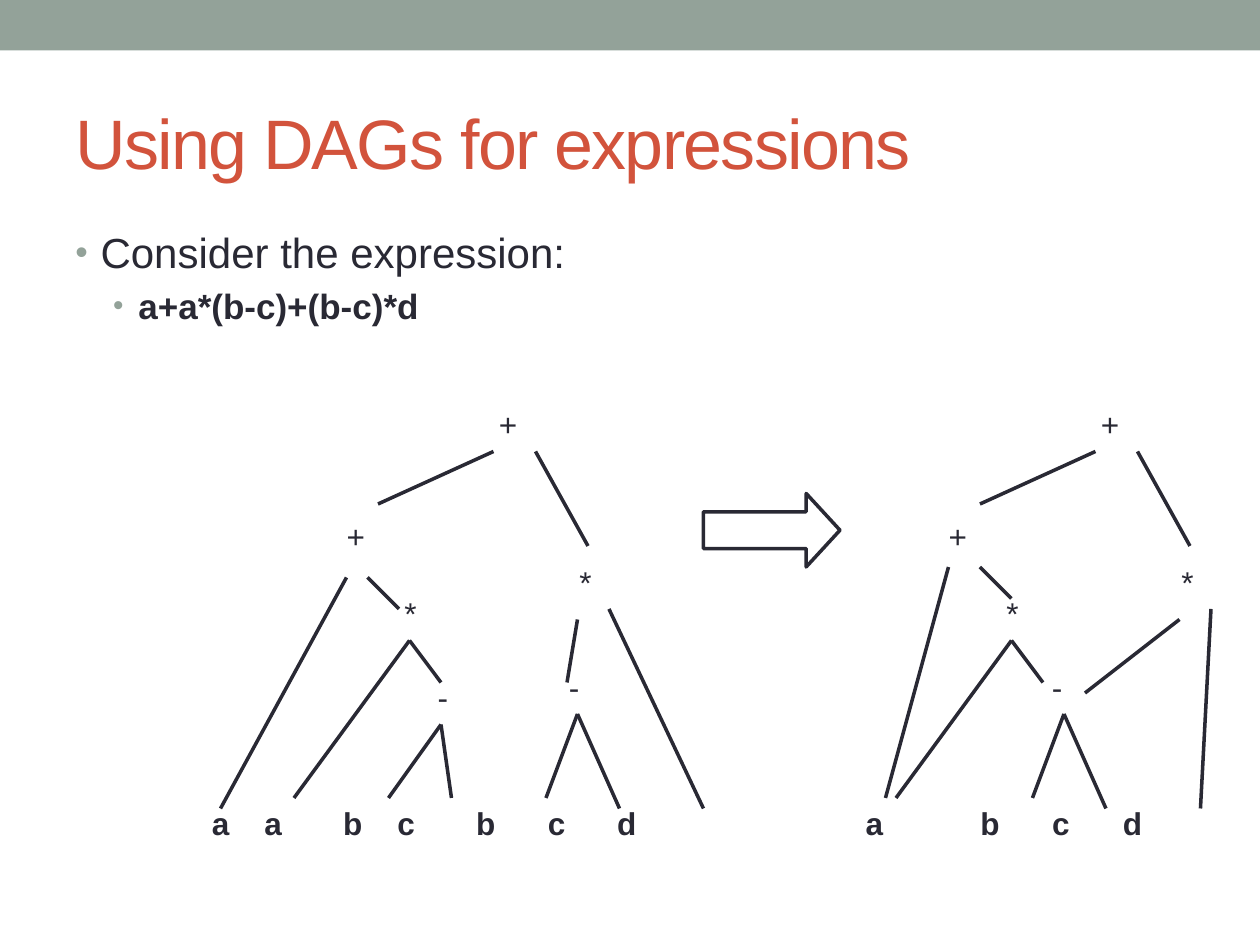
from pptx import Presentation
from pptx.dml.color import RGBColor
from pptx.enum import shapes as sh, text as tx
from pptx.oxml.ns import qn
from pptx.util import Pt
from lxml import etree

INK, SAGE, RUST = "292934", "93A299", "D2533C"
UNIT = 6
WIDTH = {"+": 28, "*": 27, "-": 22}

TITLE = "Using DAGs for expressions"
BODY = [("Consider the expression:", 24, False, 14.4, 0),
        ("a+a*(b-c)+(b-c)*d", 20, True, 36, 4)]

BOTH_EDGES = [(28, 76, 39, 61), (42, 65, 39, 61),
              (36, 48, 47, 43), (51, 43, 56, 52)]
BOTH_SIGNS = [("+", 191, 292), ("*", 224, 336),
              ("*", 324, 318), ("+", 278, 228)]
TREE = {
    "shift": 0,
    "edges": [(21, 77, 33, 55), (37, 76, 42, 69), (43, 76, 42, 69),
              (52, 76, 55, 68), (59, 77, 55, 68), (67, 77, 58, 58),
              (54, 65, 55, 59), (35, 55, 38, 58)],
    "signs": [("-", 243, 384), ("-", 318, 378)],
    "leaves": ("aabcbcd", 114, 304, 7.2, (30, 75, 106, 151, 192, 231.5)),
}
DAG = {
    "shift": 344,
    "edges": [(41, 76, 44, 68), (48, 77, 44, 68), (57, 77, 58, 58),
              (46, 66, 55, 59), (36, 54, 39, 57), (27, 76, 33, 54)],
    "signs": [("-", 250, 378)],
    "leaves": ("abcd", 458, 238, 36.7, (65.5, 106.5, 147)),
}

deck = Presentation()
deck.slide_width, deck.slide_height = Pt(720), Pt(540)
page = deck.slides.add_slide(deck.slide_layouts[6])
draw = page.shapes


def tint(code):
    return RGBColor.from_string(code)


def node(root, tag, **attrs):
    item = etree.SubElement(root, qn(tag))
    for key, val in attrs.items():
        item.set(key, str(val))
    return item


def frame(x, y, w, h, wrap=True):
    body = draw.add_textbox(Pt(x), Pt(y), Pt(w), Pt(h)).text_frame
    body.word_wrap = wrap
    return body


def write(para, words, size, bold=False, color=INK):
    run = para.add_run()
    run.text = words
    font = run.font
    font.name, font.size, font.bold = "Arial", Pt(size), bold
    font.color.rgb = tint(color)
    return run


def line(x1, y1, x2, y2):
    edge = draw.add_connector(sh.MSO_CONNECTOR.STRAIGHT,
                              Pt(x1), Pt(y1), Pt(x2), Pt(y2))
    edge.line.color.rgb = tint(INK)
    edge.line.width = Pt(2)
    node(edge._element.spPr, "a:effectLst")


def graph(data):
    shift = data["shift"]
    for x1, y1, x2, y2 in BOTH_EDGES + data["edges"]:
        line(x1 * UNIT + shift, y1 * UNIT, x2 * UNIT + shift, y2 * UNIT)
    for sign, x, y in BOTH_SIGNS + data["signs"]:
        body = frame(x + shift, y, WIDTH[sign], 36, False)
        write(body.paragraphs[0], sign, 18)
    names, x, w, inset, stops = data["leaves"]
    body = frame(x, 456, w, 36)
    body.margin_left = Pt(inset)
    para = body.paragraphs[0]
    tabs = node(para._p.get_or_add_pPr(), "a:tabLst")
    for stop in stops:
        node(tabs, "a:tab", pos=int(Pt(stop)), algn="l")
    write(para, "\t".join(names), 18, True)


band = draw.add_shape(sh.MSO_SHAPE.RECTANGLE, 0, 0, Pt(720), Pt(28.8))
band.shadow.inherit = False
band.fill.solid()
band.fill.fore_color.rgb = tint(SAGE)
band.line.fill.background()

head = frame(36, 42, 648, 78)
head.vertical_anchor = tx.MSO_ANCHOR.MIDDLE
run = write(head.paragraphs[0], TITLE, 40, color=RUST)
run.font._element.set("spc", "-100")

body = frame(36, 126, 648, 384)
for row, (words, size, bold, left, gap) in enumerate(BODY):
    para = body.paragraphs[0] if row == 0 else body.add_paragraph()
    para.level = row
    para.space_before = Pt(gap)
    props = para._p.get_or_add_pPr()
    props.set("marL", str(int(Pt(left))))
    props.set("indent", str(int(Pt(-14.4))))
    node(node(props, "a:buClr"), "a:srgbClr", val=SAGE)
    node(props, "a:buSzPct", val=85000)
    node(props, "a:buFont", typeface="Arial")
    node(props, "a:buChar", char="•")
    write(para, words, size, bold)

graph(TREE)
graph(DAG)

arrow = draw.add_shape(sh.MSO_SHAPE.RIGHT_ARROW,
                       Pt(402), Pt(282), Pt(78), Pt(42))
arrow.shadow.inherit = False
arrow.adjustments[0], arrow.adjustments[1] = 0.5, 0.46
arrow.fill.background()
arrow.line.color.rgb = tint(INK)
arrow.line.width = Pt(2)

deck.save("out.pptx")
